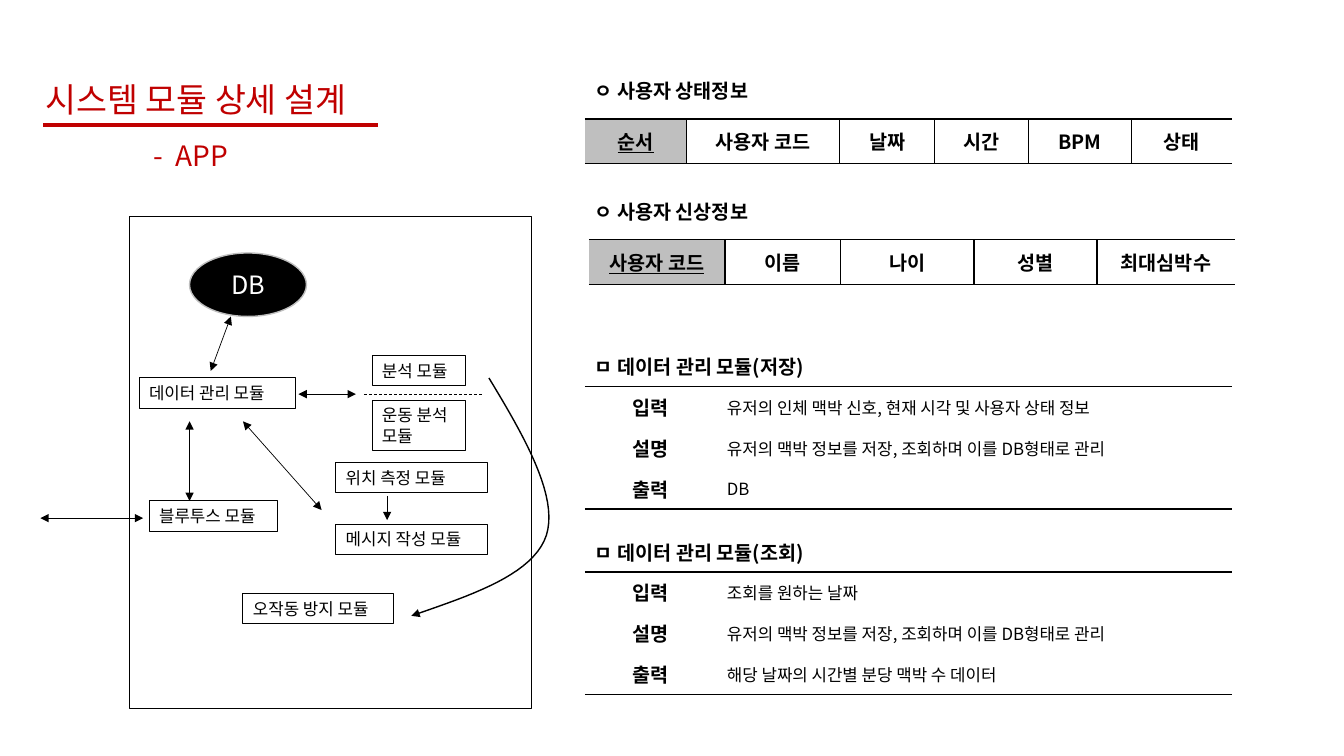
from dataclasses import dataclass

from lxml.etree import SubElement
from pptx import Presentation
from pptx.dml.color import RGBColor
from pptx.enum.dml import MSO_LINE
from pptx.enum.shapes import MSO_CONNECTOR, MSO_SHAPE
from pptx.enum.text import MSO_ANCHOR, MSO_AUTO_SIZE, PP_ALIGN
from pptx.oxml.ns import qn
from pptx.util import Inches, Pt


@dataclass(frozen=True)
class Theme:
    font: str = "Noto Sans CJK KR"
    accent: str = "C00000"
    ink: str = "000000"
    paper: str = "FFFFFF"
    key: str = "BFBFBF"
    title: int = 24
    subtitle: int = 20
    node: int = 18
    heading: int = 14
    body: int = 12
    thin: float = 0.5
    box: float = 0.75
    rule: float = 1
    thick: float = 2.25


T = Theme()


def grid(*units):
    return [Inches(u / 10) for u in units]


def rgb(color):
    return RGBColor.from_string(color)


def write(tf, text, size=T.body, color=T.ink, bold=False, underline=False,
          align=PP_ALIGN.LEFT):
    p = tf.paragraphs[0]
    p.alignment = align
    r = p.add_run()
    r.text = text
    f = r.font
    f.name, f.size, f.bold, f.underline = T.font, Pt(size), bold, underline
    f.color.rgb = rgb(color)
    SubElement(f._element, qn("a:ea"), typeface=T.font)


def set_frame(tf):
    tf.word_wrap = True
    tf.auto_size = MSO_AUTO_SIZE.NONE
    tf.vertical_anchor = MSO_ANCHOR.MIDDLE


def add_label(s, box, text, **fmt):
    tf = s.shapes.add_textbox(*grid(*box)).text_frame
    set_frame(tf)
    write(tf, text, **fmt)


def add_node(s, box, text="", kind=MSO_SHAPE.RECTANGLE, fill=None,
             line=T.ink, width=T.box, **fmt):
    sp = s.shapes.add_shape(kind, *grid(*box))
    sp.shadow.inherit = False
    if fill:
        sp.fill.solid()
        sp.fill.fore_color.rgb = rgb(fill)
    else:
        sp.fill.background()
    sp.line.color.rgb = rgb(line)
    sp.line.width = Pt(width)
    if text:
        set_frame(sp.text_frame)
        write(sp.text_frame, text, **fmt)


def style_line(sp, color=T.ink, width=T.thin, dash=None, ends=()):
    sp.line.color.rgb = rgb(color)
    sp.line.width = Pt(width)
    if dash:
        sp.line.dash_style = dash
    ln = sp.element.spPr.find(qn("a:ln"))
    for end in ends:
        SubElement(ln, qn(f"a:{end}End"), type="triangle")


def add_line(s, start, end, **fmt):
    cn = s.shapes.add_connector(MSO_CONNECTOR.STRAIGHT, *grid(*start, *end))
    style_line(cn, **fmt)
    SubElement(cn.element.spPr, qn("a:effectLst"))


def bezier(start, a, b, end, steps=20):
    for i in range(1, steps + 1):
        t = i / steps
        u = 1 - t
        yield tuple(u**3 * p + 3 * u * u * t * q + 3 * u * t * t * m + t**3 * n
                    for p, q, m, n in zip(start, a, b, end))


def add_curve(s, start, *segments, **fmt):
    points = [start]
    for a, b, end in segments:
        points += bezier(points[-1], a, b, end)
    pts = [tuple(grid(*pt)) for pt in points]
    fb = s.shapes.build_freeform(*pts[0])
    fb.add_line_segments(pts[1:], close=False)
    sp = fb.convert_to_shape()
    sp.shadow.inherit = False
    sp.fill.background()
    style_line(sp, **fmt)


def format_cell(cell, text, sides, fill=T.paper, **fmt):
    tcPr = cell._tc.get_or_add_tcPr()
    for side in "LRTB":
        ln = SubElement(tcPr, qn(f"a:ln{side}"), w=str(Pt(T.rule)))
        if side in sides:
            paint = SubElement(ln, qn("a:solidFill"))
            SubElement(paint, qn("a:srgbClr"), val=T.ink)
        else:
            SubElement(ln, qn("a:noFill"))
    cell.fill.solid()
    cell.fill.fore_color.rgb = rgb(fill)
    cell.vertical_anchor = MSO_ANCHOR.MIDDLE
    if text:
        write(cell.text_frame, text, **fmt)


def add_grid_table(s, x, y, cols, rows):
    box = grid(x, y, sum(cols), sum(rows))
    tb = s.shapes.add_table(len(rows), len(cols), *box).table
    tb.first_row = tb.horz_banding = False
    for col, w in zip(tb.columns, grid(*cols)):
        col.width = w
    for row, h in zip(tb.rows, grid(*rows)):
        row.height = h
    return tb


def header(s, x, y):
    add_line(s, (x + 0.8, y + 5.1), (x + 34, y + 5.1), color=T.accent, width=T.thick)
    title = s.shapes.title
    title.left, title.top, title.width, title.height = grid(x, y, 35.9, 5)
    set_frame(title.text_frame)
    write(title.text_frame, "시스템 모듈 상세 설계", size=T.title, color=T.accent)
    add_label(s, (x + 10.7, y + 5.9, 26.2, 4.4), "-  APP", size=T.subtitle, color=T.accent)


def module_diagram(s, x, y, w, h):
    def at(dx, dy):
        return x + dx, y + dy

    add_node(s, (x, y, w, h), width=T.thin)
    add_node(s, (*at(6, 3.6), 11.6, 6.3), "DB", kind=MSO_SHAPE.OVAL, fill=T.ink, line=T.key,
             width=T.rule, size=T.node, color=T.paper, align=PP_ALIGN.CENTER)
    for text, dx, dy, bw, bh in (
        ("데이터 관리 모듈", 1, 16, 15.5, 3),
        ("블루투스 모듈", 2, 28.2, 12.7, 3),
        ("분석 모듈", 24.1, 13.8, 9.3, 3),
        ("운동 분석 모듈", 24.1, 18.2, 9.3, 5),
        ("위치 측정 모듈", 20.5, 24.4, 15.1, 3),
        ("메시지 작성 모듈", 20.5, 30.5, 15.1, 3),
        ("오작동 방지 모듈", 11.3, 37.4, 14.9, 3),
    ):
        add_node(s, (*at(dx, dy), bw, bh), text)
    for start, end in (
        ((8.1, 15.3), (10.1, 9.9)),
        ((6, 20.3), (6, 28.2)),
        ((22.5, 17.6), (16.8, 17.6)),
        ((-8.8, 29.9), (1.4, 29.9)),
        ((19.1, 29.1), (11.3, 20.3)),
    ):
        add_line(s, at(*start), at(*end), ends=("head", "tail"))
    add_line(s, at(25.6, 27.7), at(25.6, 30.1), ends=("tail",))
    add_line(s, at(23.3, 17.6), at(35, 17.6), dash=MSO_LINE.DASH)
    add_curve(s, at(35.7, 16),
              (at(39.2, 21.8), at(42.6, 27.7), at(41.4, 31.6)),
              (at(40.1, 35.5), at(34.1, 37.5), at(28, 39.6)),
              width=T.rule, ends=("tail",))


def record_layout(s, x, y, heading, fields, cols, indent=0):
    add_label(s, (x, y, 19.1, 3.4), heading, size=T.heading, bold=True)
    tb = add_grid_table(s, x + indent, y + 4.5, cols, [4.4])
    last = len(fields) - 1
    for i, field in enumerate(fields):
        sides = "TB" + ("L" if i else "") + ("R" if i < last else "")
        format_cell(tb.cell(0, i), field, sides, fill=T.paper if i else T.key, size=T.heading,
                    bold=True, underline=i == 0, align=PP_ALIGN.CENTER)


def module_table(s, x, y, heading, details):
    tb = add_grid_table(s, x, y, [13.1, 51.1], [4.05] * 4)
    tb.cell(0, 0).merge(tb.cell(0, 1))
    format_cell(tb.cell(0, 0), heading, "B", size=T.heading, bold=True)
    format_cell(tb.cell(0, 1), "", "B")
    names = ("입력", "설명", "출력")
    for i, (name, detail, sides) in enumerate(zip(names, details, ("T", "", "B")), 1):
        format_cell(tb.cell(i, 0), name, sides, size=T.heading, bold=True, align=PP_ALIGN.CENTER)
        format_cell(tb.cell(i, 1), detail, sides)


def main():
    prs = Presentation()
    prs.slide_width, prs.slide_height = Inches(13.33), Inches(7.5)
    s = prs.slides.add_slide(prs.slide_layouts[5])
    header(s, 3.5, 7.3)
    module_diagram(s, 12.8, 21.5, 39.9, 48.8)
    right = 58
    record_layout(s, right, 7.3, "ㅇ 사용자 상태정보",
                  ("순서", "사용자 코드", "날짜", "시간", "BPM", "상태"),
                  (10.1, 15.2, 9.4, 9.3, 10.2, 10))
    record_layout(s, right, 19.3, "ㅇ 사용자 신상정보",
                  ("사용자 코드", "이름", "나이", "성별", "최대심박수"),
                  (13.5, 11.5, 13.2, 12.2, 13.7), indent=0.4)
    manage = "유저의 맥박 정보를 저장, 조회하며 이를 DB형태로 관리"
    module_table(s, right, 34.3, "ㅁ 데이터 관리 모듈(저장)",
                 ("유저의 인체 맥박 신호, 현재 시각 및 사용자 상태 정보", manage, "DB"))
    module_table(s, right, 52.7, "ㅁ 데이터 관리 모듈(조회)",
                 ("조회를 원하는 날짜", manage, "해당 날짜의 시간별 분당 맥박 수 데이터"))
    prs.save("out.pptx")


if __name__ == "__main__":
    main()
